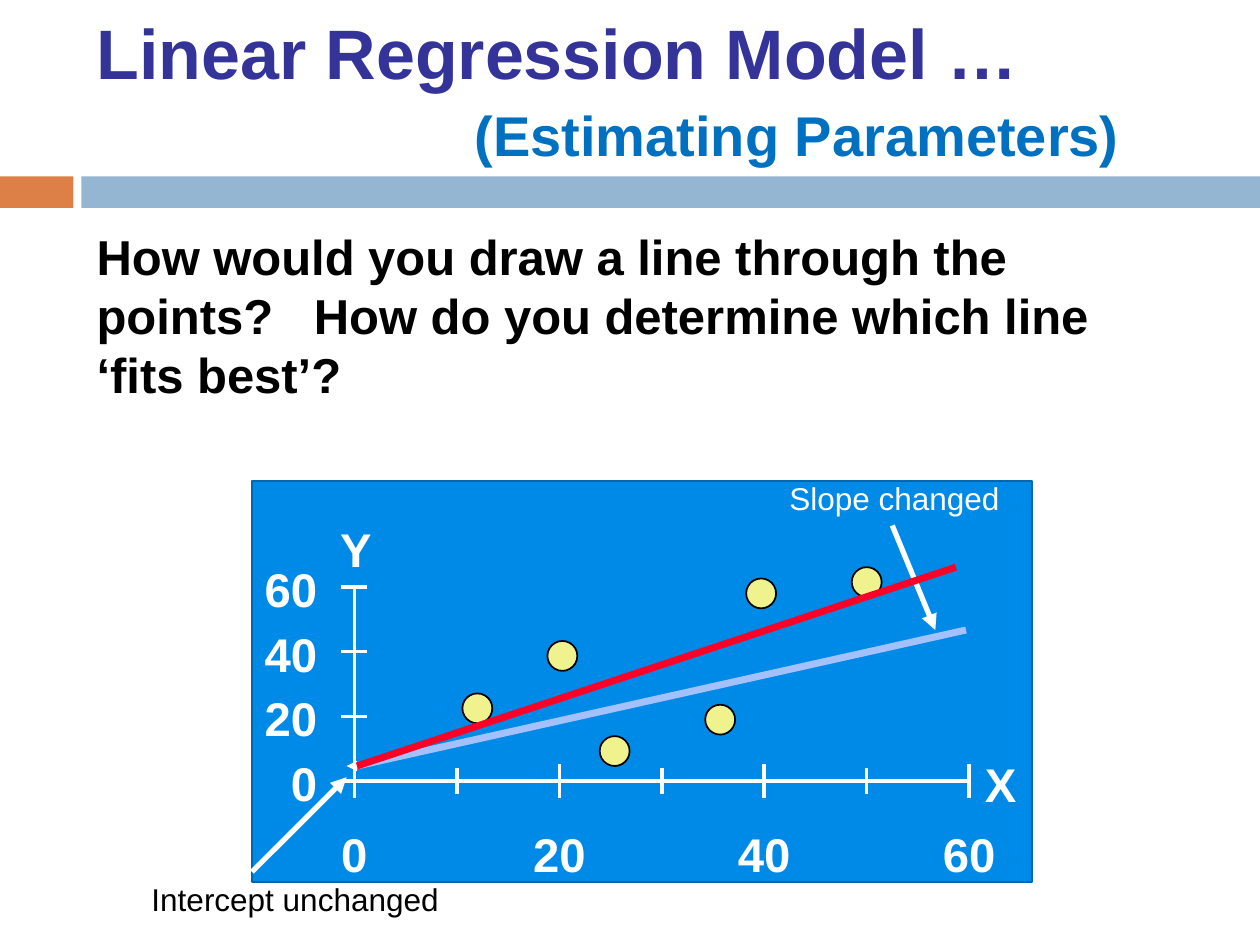
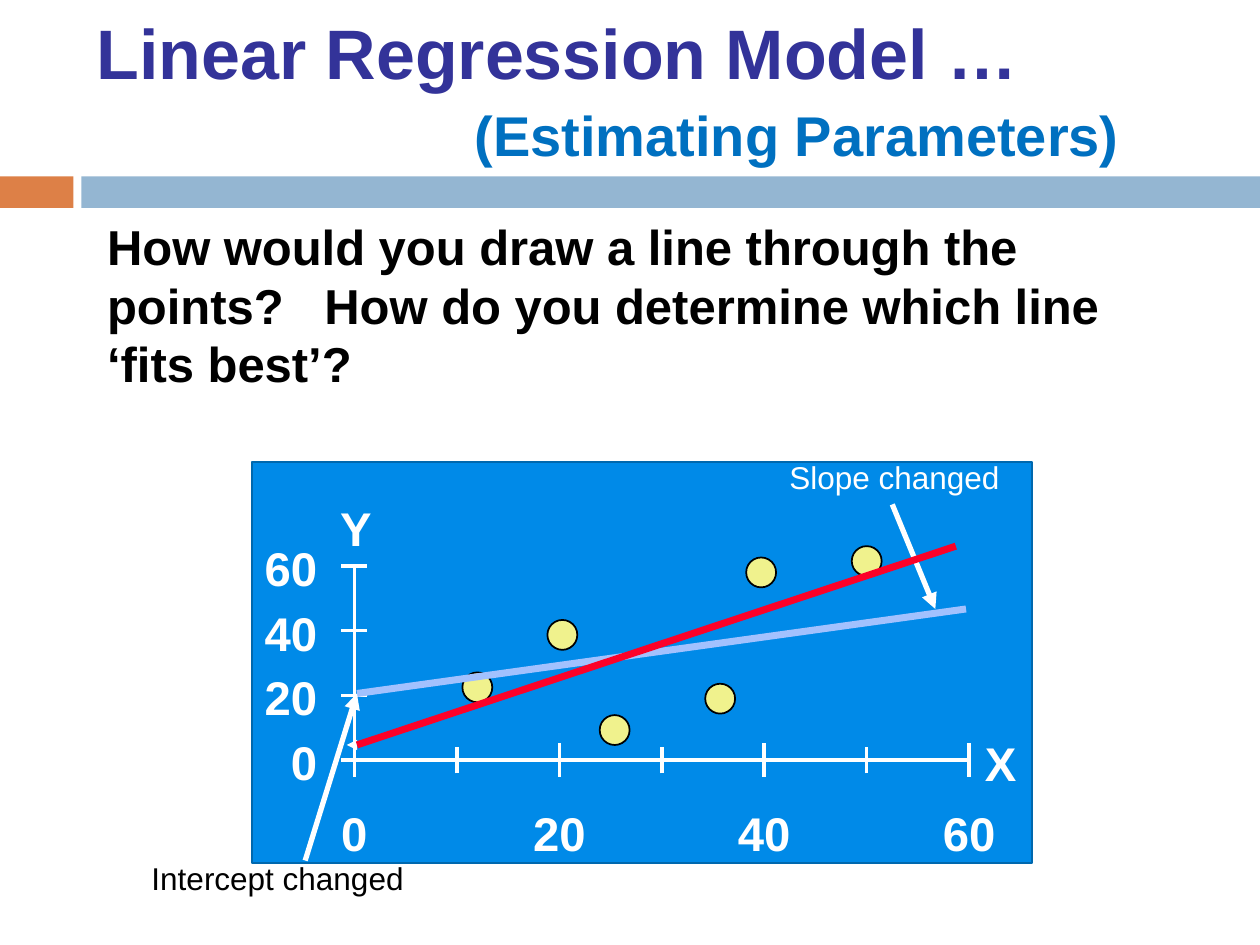
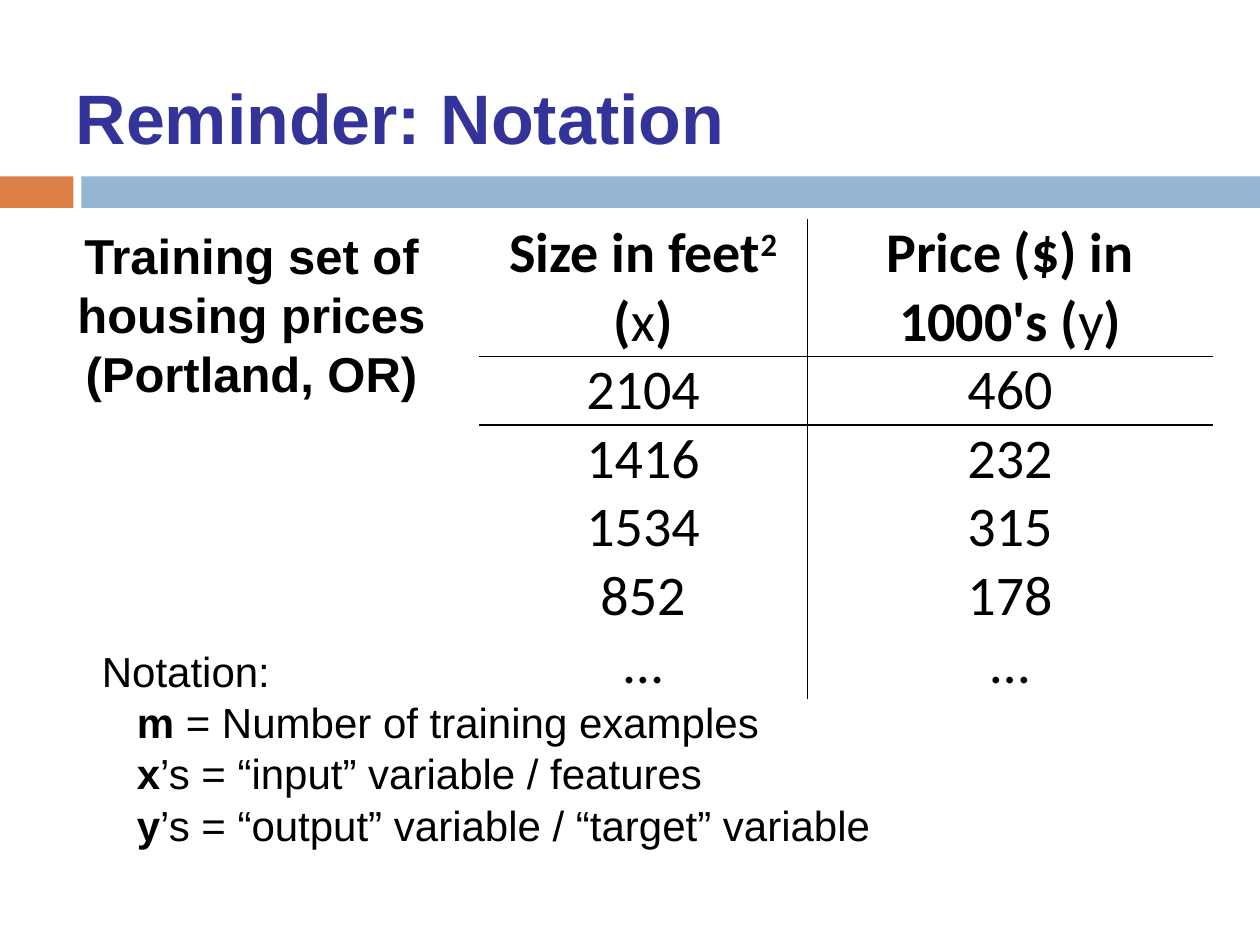
import dataclasses
import typing

import lxml.etree
import pptx
import pptx.dml.color
import pptx.enum.shapes
import pptx.enum.text
import pptx.oxml.ns
import pptx.util

COLUMNS, ROWS = 120, 90
WHITE, BLACK, NAVY, AZURE = "FFFFFF", "000000", "333399", "0070C0"
ORANGE, STEEL, PLOT_BLUE, PLOT_EDGE = "DD8047", "94B6D2", "008AE8", "0068AE"
POINT_YELLOW, FIT_RED, GUESS_BLUE = "F0F28D", "FC0128", "A2C1FE"
PLAIN_TABLE = "{2D5ABB26-0587-4C30-8999-92F81FD0307C}"

presentation = pptx.Presentation()
presentation.slide_width = pptx.util.Inches(10)
presentation.slide_height = pptx.util.Inches(7.5)


class Position(typing.NamedTuple):
    column: float
    row: float


class Box(typing.NamedTuple):
    column: float
    row: float
    columns: float
    rows: float


@dataclasses.dataclass(frozen=True)
class Style:
    size: float
    color: str = BLACK
    bold: bool = False
    font: str = "Arial"


@dataclasses.dataclass(frozen=True)
class Segment:
    """A straight line between two points given in data units."""
    start: tuple[float, float]
    end: tuple[float, float]
    color: str = WHITE
    width: float = 2
    arrow: bool = False


@dataclasses.dataclass(frozen=True)
class FitSlide:
    question: Box
    frame_row: float
    baseline: float
    guess_intercept: float
    intercept_note: str
    note_columns: float
    pointer: Segment


TITLE = Style(40, NAVY, bold=True)
SUBTITLE = Style(32, AZURE, bold=True)
STATEMENT = Style(28, bold=True)
NOTATION = Style(24)
AXIS_LABEL = Style(27, WHITE, bold=True)
CELL = Style(32, font="Calibri")
HEADER = dataclasses.replace(CELL, bold=True)

# The axes run from 0 to 60 in both directions.
AXIS_MAX = 60
AXIS_LEFT, AXIS_COLUMNS, AXIS_ROWS = 33.75, 58.55, 18.5
OBSERVATIONS = [(25.4, 9.3), (50, 61.5), (20.3, 38.7), (39.7, 58), (35.7, 19), (12, 22.5)]
BEST_FIT = Segment((0.25, 4.7), (58.7, 66.1), FIT_RED, 4)
FIT_SLIDES = [
    FitSlide(Box(8, 21, 102.7, 18), 45.8, 74.4, 4.7, "Intercept unchanged", 29.8,
             Segment((-10, -28), (-0.75, 1.2), width=3, arrow=True)),
    FitSlide(Box(9, 20, 102.7, 18), 44, 72.4, 20.6, "Intercept changed", 26.4,
             Segment((-4.8, -31), (0.25, 20.6), width=3, arrow=True)),
]


def across(columns: float) -> int:
    return round(presentation.slide_width * columns / COLUMNS)


def down(rows: float) -> int:
    return round(presentation.slide_height * rows / ROWS)


def bounds(box: Box) -> tuple[int, int, int, int]:
    return across(box.column), down(box.row), across(box.columns), down(box.rows)


def rgb(color: str) -> pptx.dml.color.RGBColor:
    return pptx.dml.color.RGBColor.from_string(color)


def format_run(run, style: Style) -> None:
    run.font.name = style.font
    run.font.size = pptx.util.Pt(style.size)
    run.font.bold = style.bold
    run.font.color.rgb = rgb(style.color)


def write(frame, lines: list[str], style: Style, align: str = "LEFT") -> None:
    frame.text = "\n".join(lines)
    for paragraph in frame.paragraphs:
        paragraph.alignment = getattr(pptx.enum.text.PP_ALIGN, align)
        for run in paragraph.runs:
            format_run(run, style)


def write_mixed(paragraph, parts: list[tuple[str, Style]]) -> list:
    """Fill a paragraph with differently styled runs and return them."""
    runs = []
    for words, style in parts:
        run = paragraph.add_run()
        run.text = words
        format_run(run, style)
        runs.append(run)
    return runs


def indent(paragraph, points: float) -> None:
    """Set the left margin and take away any bullet."""
    properties = paragraph._p.get_or_add_pPr()
    properties.set("marL", str(pptx.util.Pt(points)))
    properties.set("indent", "0")
    lxml.etree.SubElement(properties, pptx.oxml.ns.qn("a:buNone"))


def place(placeholder, box: Box):
    placeholder.left, placeholder.top, placeholder.width, placeholder.height = bounds(box)
    placeholder.text_frame.auto_size = pptx.enum.text.MSO_AUTO_SIZE.NONE
    return placeholder.text_frame


def add_label(slide, box: Box, lines: list[str], style: Style, align: str = "LEFT") -> None:
    label = slide.shapes.add_textbox(*bounds(box))
    label.text_frame.word_wrap = False
    write(label.text_frame, lines, style, align)


def add_filled(slide, kind: str, box: Box, fill: str, edge: str | None = None):
    shape = slide.shapes.add_shape(
        getattr(pptx.enum.shapes.MSO_SHAPE, kind), *bounds(box))
    shape.shadow.inherit = False
    shape.fill.solid()
    shape.fill.fore_color.rgb = rgb(fill)
    if edge:
        shape.line.color.rgb = rgb(edge)
        shape.line.width = pptx.util.Pt(1)
    else:
        shape.line.fill.background()
    return shape


def add_master_bands(slide) -> None:
    """Draw the two bands and move them to the back of the slide master."""
    bands = [(Box(0, 16.8, 7, 3), ORANGE), (Box(7.75, 16.8, 112.25, 3), STEEL)]
    for box, color in bands:
        band = add_filled(slide, "RECTANGLE", box, color)
        presentation.slide_master.shapes.element.insert(2, band.element)


def at(x: float, y: float, baseline: float) -> Position:
    """Turn data units into a place on the slide grid."""
    return Position(AXIS_LEFT + x * AXIS_COLUMNS / AXIS_MAX,
                    baseline - y * AXIS_ROWS / AXIS_MAX)


def add_line(slide, start: Position, end: Position, look: Segment) -> None:
    line = slide.shapes.add_connector(
        pptx.enum.shapes.MSO_CONNECTOR.STRAIGHT,
        across(start.column), down(start.row), across(end.column), down(end.row))
    line.line.color.rgb = rgb(look.color)
    line.line.width = pptx.util.Pt(look.width)
    if look.arrow:
        lxml.etree.SubElement(line.line._get_or_add_ln(),
                              pptx.oxml.ns.qn("a:tailEnd"), type="triangle")
    lxml.etree.SubElement(line.element.spPr, pptx.oxml.ns.qn("a:effectLst"))


def add_segment(slide, segment: Segment, baseline: float) -> None:
    add_line(slide, at(*segment.start, baseline), at(*segment.end, baseline), segment)


def add_axis_label(slide, words: str, column: float, row: float) -> None:
    """Put a label with its middle at the given place."""
    columns, rows = 3.2 + 2.4 * len(words), 6.6
    add_label(slide, Box(column - columns / 2, row - rows / 2, columns, rows),
              [words], AXIS_LABEL, "CENTER")


def add_axes(slide, baseline: float) -> None:
    look = Segment((0, 0), (AXIS_MAX, 0))
    add_segment(slide, look, baseline)
    add_segment(slide, Segment((0, 0), (0, AXIS_MAX)), baseline)
    for value in range(0, AXIS_MAX + 1, 10):
        column, row = at(value, 0, baseline)
        labelled = value % 20 == 0
        half = 1.6 if labelled else 1.25
        add_line(slide, Position(column, row + half), Position(column, row - half), look)
        if labelled:
            add_axis_label(slide, str(value), column, row + 6.9)
            column, row = at(0, value, baseline)
            add_line(slide, Position(column - 1.25, row), Position(column + 1.25, row), look)
            add_axis_label(slide, str(value), 30.2 - 1.25 * len(str(value)), row + 0.15)
    add_axis_label(slide, "X", 95.3, baseline + 0.2)
    add_axis_label(slide, "Y", 33.9, baseline - 22.1)


def add_fit_slide(slide, content: FitSlide) -> None:
    heading = place(slide.shapes.title, Box(8, 1.9, 107, 13))
    heading.vertical_anchor = pptx.enum.text.MSO_ANCHOR.MIDDLE
    write(heading, ["Linear Regression Model …", "(Estimating Parameters)"], TITLE)
    subtitle = heading.paragraphs[1]
    format_run(subtitle.runs[0], SUBTITLE)
    subtitle.space_before = pptx.util.Pt(4)
    indent(subtitle, 216)

    question = place(slide.placeholders[1], content.question)
    write(question, ["How would you draw a line through the points?   "
                     "How do you determine which line ‘fits best’?"], STATEMENT)
    indent(question.paragraphs[0], 0)

    baseline = content.baseline
    add_filled(slide, "RECTANGLE", Box(24, content.frame_row, 74.3, 38.2),
               PLOT_BLUE, PLOT_EDGE)
    add_axes(slide, baseline)
    diameter = 2.85
    for observation in OBSERVATIONS:
        column, row = at(*observation, baseline)
        add_filled(slide, "OVAL", Box(column - diameter / 2, row - diameter / 2,
                                      diameter, diameter), POINT_YELLOW, BLACK)
    x, y = BEST_FIT.start
    for segment in (
        Segment((x, content.guess_intercept), (59.7, 46.7), GUESS_BLUE, 4),
        Segment((52.5, 79), (56.7, 46.7), width=3, arrow=True),
        Segment((x, y), (x - 1, y), width=1, arrow=True),
        content.pointer,
        BEST_FIT,
    ):
        add_segment(slide, segment, baseline)
    add_label(slide, Box(74, baseline - 29.4, 22.4, 4.8), ["Slope changed"], Style(18, WHITE))
    add_label(slide, Box(13.25, baseline + 8.8, content.note_columns, 4.8),
              [content.intercept_note], Style(18))


def add_border(cell, side: str) -> None:
    border = lxml.etree.SubElement(cell._tc.get_or_add_tcPr(),
                                   pptx.oxml.ns.qn(f"a:ln{side}"),
                                   w=str(pptx.util.Pt(1)))
    fill = lxml.etree.SubElement(border, pptx.oxml.ns.qn("a:solidFill"))
    lxml.etree.SubElement(fill, pptx.oxml.ns.qn("a:srgbClr"), val=BLACK)


def add_price_table(slide) -> None:
    headers = [
        [("Size in feet", HEADER), ("2", HEADER), (" (", HEADER), ("x", CELL), (")", HEADER)],
        [("Price ($) in 1000's (", HEADER), ("y", CELL), (")", HEADER)],
    ]
    houses = [("2104", "460"), ("1416", "232"), ("1534", "315"), ("852", "178"), ("…", "…")]
    widths, header_rows, house_rows = (31.3, 38.6), 12.95, 6.52
    frame = slide.shapes.add_table(
        len(houses) + 1, len(widths),
        *bounds(Box(45.6, 20.9, sum(widths), header_rows + house_rows * len(houses))))
    table = frame.table
    table.first_row = table.horz_banding = False
    for style_id in frame.element.iter(pptx.oxml.ns.qn("a:tableStyleId")):
        style_id.text = PLAIN_TABLE
    for column, width in zip(table.columns, widths):
        column.width = across(width)
    for index, row in enumerate(table.rows):
        row.height = down(house_rows if index else header_rows)
        for position, cell in enumerate(row.cells):
            cell.margin_left = cell.margin_right = pptx.util.Inches(0.01)
            cell.margin_top = cell.margin_bottom = 0
            add_border(cell, "L" if position else "R")
            if index < 2:
                add_border(cell, "T" if index else "B")
            cell.fill.background()
            if index:
                cell.vertical_anchor = pptx.enum.text.MSO_ANCHOR.BOTTOM
                write(cell.text_frame, [houses[index - 1][position]], CELL, "CENTER")
            else:
                cell.vertical_anchor = pptx.enum.text.MSO_ANCHOR.MIDDLE
                paragraph = cell.text_frame.paragraphs[0]
                paragraph.alignment = pptx.enum.text.PP_ALIGN.CENTER
                runs = write_mixed(paragraph, headers[position])
                if position == 0:
                    runs[1]._r.get_or_add_rPr().set("baseline", "30000")


def add_notation_slide(slide) -> None:
    heading = place(slide.shapes.title, Box(6, 3.6, 108, 15))
    heading.vertical_anchor = pptx.enum.text.MSO_ANCHOR.MIDDLE
    write(heading, ["Reminder: Notation"], TITLE)

    notation = place(slide.placeholders[1], Box(8.5, 60.85, 76.4, 20.8))
    symbols = [("m", " = Number of training examples"),
               ("x", "’s = “input” variable / features"),
               ("y", "’s = “output” variable / “target” variable")]
    write(notation, ["Notation:"], NOTATION)
    for symbol, meaning in symbols:
        write_mixed(notation.add_paragraph(),
                    [(symbol, dataclasses.replace(NOTATION, bold=True)), (meaning, NOTATION)])
    for index, paragraph in enumerate(notation.paragraphs):
        paragraph.space_before = pptx.util.Pt(0.5 if index else 0)
        indent(paragraph, 20 if index else 0)

    add_price_table(slide)
    add_label(slide, Box(6, 20.9, 35.9, 18.1),
              ["Training set of", "housing prices", "(Portland, OR)"], STATEMENT, "CENTER")


def main() -> None:
    title_and_content = presentation.slide_layouts[1]
    for content in FIT_SLIDES:
        add_fit_slide(presentation.slides.add_slide(title_and_content), content)
    closing = presentation.slides.add_slide(title_and_content)
    add_notation_slide(closing)
    add_master_bands(closing)
    presentation.save("out.pptx")


if __name__ == "__main__":
    main()
